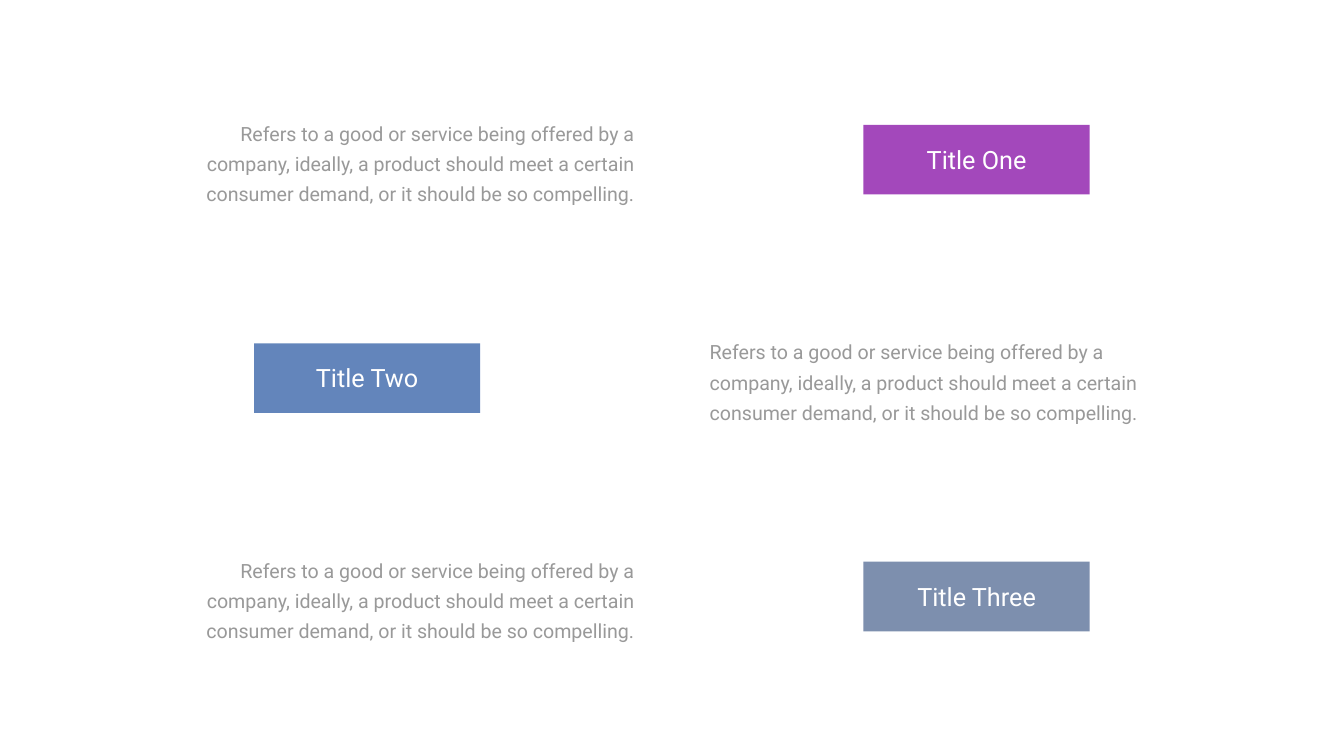
from dataclasses import dataclass

from lxml.etree import SubElement
from pptx import Presentation
from pptx.dml.color import RGBColor
from pptx.enum.shapes import MSO_SHAPE
from pptx.enum.text import MSO_AUTO_SIZE, PP_ALIGN
from pptx.oxml.ns import qn
from pptx.slide import Slide
from pptx.util import Cm, Pt

DESCRIPTION = (
    "Refers to a good or service being offered by a company, ideally, "
    "a product should meet a certain consumer demand, or it should be so compelling."
)
FIRST_ROW_TOP = 5.51
ROW_PITCH = 11.01
TITLE_DROP = 0.78
TITLE_WIDTH, TITLE_HEIGHT = 11.4, 3.51
LABEL_WIDTH, LABEL_HEIGHT = 8.31, 1.8
DESCRIPTION_WIDTH, DESCRIPTION_HEIGHT = 23.85, 5.08

DESCRIPTION_FORMAT = {"size": Pt(28), "name": "Roboto", "color": "999999"}
LABEL_FORMAT = {"size": Pt(36), "name": "Roboto", "color": "FFFFFF"}
DESCRIPTION_MARGINS = {
    "margin_left": Cm(0.61),
    "margin_right": Cm(0.61),
    "margin_top": Cm(0.3),
    "margin_bottom": Cm(0.3),
}


@dataclass(frozen=True)
class Side:
    title_left: float
    description_left: float
    alignment: PP_ALIGN


@dataclass(frozen=True)
class Row:
    title: str
    color: str
    side: Side


TITLE_RIGHT = Side(43.51, 8.71, PP_ALIGN.RIGHT)
TITLE_LEFT = Side(12.8, 35.15, PP_ALIGN.LEFT)
ROWS = [
    Row("Title One", "8C1BAB", TITLE_RIGHT),
    Row("Title Two", "3D67AA", TITLE_LEFT),
    Row("Title Three", "5D739A", TITLE_RIGHT),
]


def set_color(color_owner, color: str, opacity: int = 100) -> None:
    """Color a solid fill or a font; opacity is a percentage for fills."""
    if hasattr(color_owner, "solid"):
        color_owner.solid()
        color_format = color_owner.fore_color
    else:
        color_format = color_owner.color
    color_format.rgb = RGBColor.from_string(color)
    if opacity < 100:
        color_element = color_owner._xPr.find(".//" + qn("a:srgbClr"))
        SubElement(color_element, qn("a:alpha"), val=str(opacity * 1000))


def add_text(slide: Slide, text: str, left: float, top: float, width: float,
             height: float, alignment: PP_ALIGN, font_format: dict):
    box = slide.shapes.add_textbox(Cm(left), Cm(top), Cm(width), Cm(height))
    frame = box.text_frame
    frame.word_wrap = True
    frame.auto_size = MSO_AUTO_SIZE.SHAPE_TO_FIT_TEXT
    paragraph = frame.paragraphs[0]
    paragraph.alignment = alignment
    run = paragraph.add_run()
    run.text = text
    for attribute, value in font_format.items():
        if attribute == "color":
            set_color(run.font, value)
        else:
            setattr(run.font, attribute, value)
    return frame


def add_description(slide: Slide, row: Row, top: float) -> None:
    frame = add_text(slide, DESCRIPTION, row.side.description_left, top,
                     DESCRIPTION_WIDTH, DESCRIPTION_HEIGHT,
                     row.side.alignment, DESCRIPTION_FORMAT)
    frame.paragraphs[0].line_spacing = Pt(43)
    for attribute, value in DESCRIPTION_MARGINS.items():
        setattr(frame, attribute, value)


def add_title(slide: Slide, row: Row, top: float) -> None:
    left = row.side.title_left
    rectangle = slide.shapes.add_shape(
        MSO_SHAPE.RECTANGLE, Cm(left), Cm(top), Cm(TITLE_WIDTH), Cm(TITLE_HEIGHT))
    rectangle.shadow.inherit = False
    set_color(rectangle.fill, row.color, opacity=80)
    rectangle.line.fill.background()
    add_text(slide, row.title,
             left + (TITLE_WIDTH - LABEL_WIDTH) / 2,
             top + (TITLE_HEIGHT - LABEL_HEIGHT) / 2,
             LABEL_WIDTH, LABEL_HEIGHT, PP_ALIGN.CENTER, LABEL_FORMAT)


def main() -> None:
    presentation = Presentation()
    presentation.slide_width = Cm(67.72)
    presentation.slide_height = Cm(38.1)
    slide = presentation.slides.add_slide(presentation.slide_layouts[6])
    for index, row in enumerate(ROWS):
        top = FIRST_ROW_TOP + index * ROW_PITCH
        add_description(slide, row, top)
        add_title(slide, row, top + TITLE_DROP)
    presentation.save("out.pptx")


if __name__ == "__main__":
    main()
